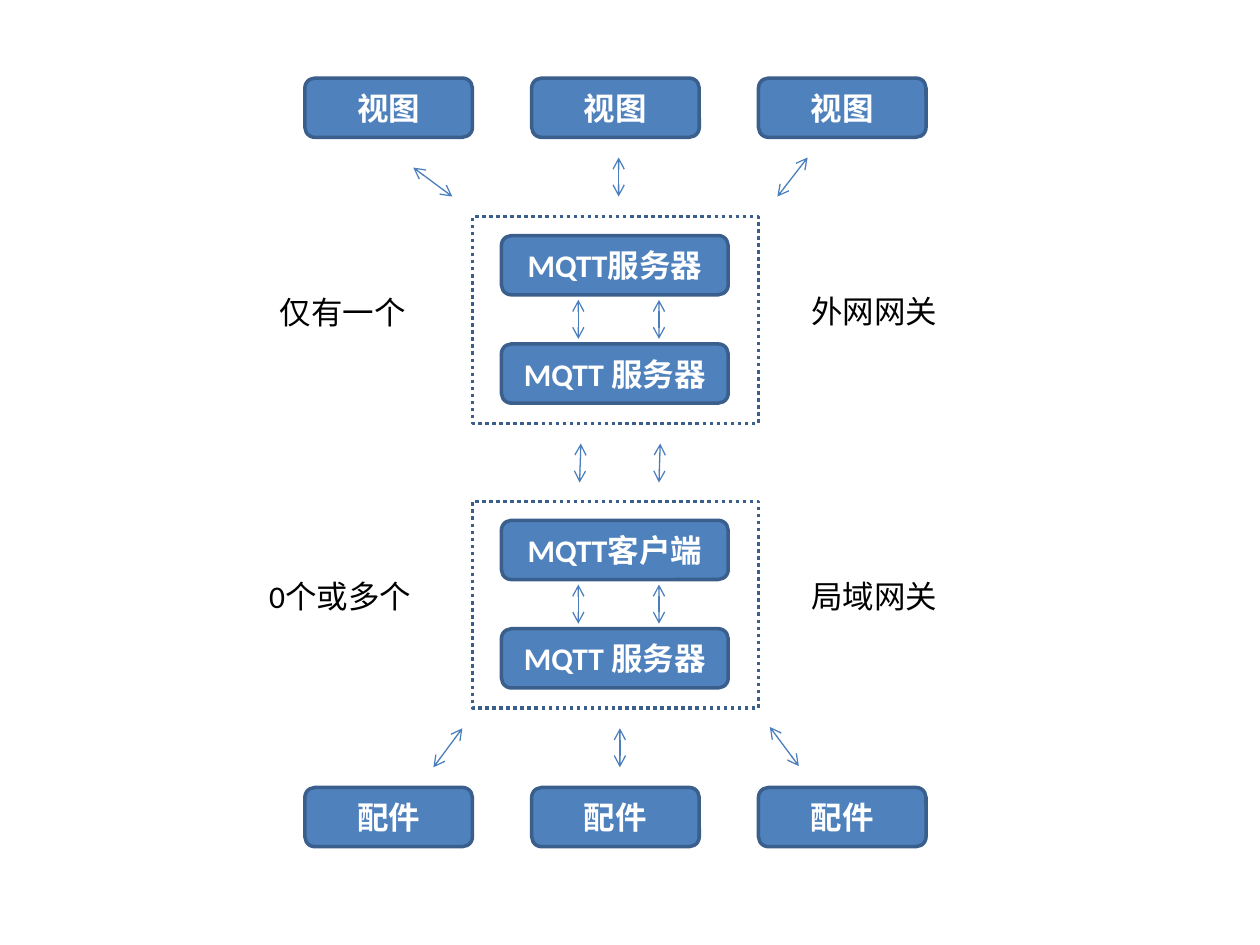
from dataclasses import dataclass

from lxml import etree
from pptx import Presentation
from pptx.dml.color import RGBColor
from pptx.enum import dml, shapes, text
from pptx.oxml import ns
from pptx.util import Inches, Pt


@dataclass(frozen=True)
class Theme:
    font: str = "Calibri"
    size: float = 18
    fill: str = "4F81BD"
    border: str = "3A5F8C"
    arrow: str = "4B7EBC"
    light: str = "FFFFFF"
    dark: str = "000000"
    border_width: float = 2
    arrow_width: float = 0.75


@dataclass(frozen=True)
class Box:
    x: float
    y: float
    w: float
    h: float
    label: str = ""


@dataclass(frozen=True)
class Arrow:
    x1: float
    y1: float
    x2: float
    y2: float


@dataclass(frozen=True)
class Gateway:
    y: float
    upper: str
    lower: str


THEME = Theme()
NODE_H = 0.47
COLUMNS = [2.42 + 1.8 * i for i in range(3)]
GATEWAYS = [
    Gateway(1.72, "MQTT服务器", "MQTT 服务器"),
    Gateway(3.98, "MQTT客户端", "MQTT 服务器"),
]
OUTER_ARROWS = [
    # Views to the external gateway
    Arrow(3.28, 1.33, 3.59, 1.56),
    Arrow(4.91, 1.25, 4.91, 1.56),
    Arrow(6.41, 1.25, 6.17, 1.56),
    # Between the gateways
    Arrow(4.61, 3.52, 4.6, 3.83),
    Arrow(5.24, 3.52, 5.23, 3.83),
    # Local gateway to the accessories
    Arrow(3.67, 5.78, 3.44, 6.09),
    Arrow(4.92, 5.78, 4.92, 6.09),
    Arrow(6.11, 5.77, 6.34, 6.08),
]
LABELS = [
    Box(2.11, 2.28, 1.22, 0.4, "仅有一个"),
    Box(6.33, 2.27, 1.22, 0.4, "外网网关"),
    Box(2.03, 4.53, 1.34, 0.4, "0个或多个"),
    Box(6.33, 4.53, 1.22, 0.4, "局域网关"),
]


def write(sp, label: str, color: str, bold: bool, anchor) -> None:
    tf = sp.text_frame
    for name, value in {"word_wrap": True, "vertical_anchor": anchor}.items():
        setattr(tf, name, value)
    p = tf.paragraphs[0]
    p.alignment = text.PP_ALIGN.CENTER
    r = p.add_run()
    r.text = label
    formats = {"name": THEME.font, "size": Pt(THEME.size), "bold": bold}
    for name, value in formats.items():
        setattr(r.font, name, value)
    r.font.color.rgb = RGBColor.from_string(color)


def outline(s, kind, box: Box):
    sp = s.shapes.add_shape(kind, *map(Inches, (box.x, box.y, box.w, box.h)))
    sp.shadow.inherit = False
    sp.line.color.rgb = RGBColor.from_string(THEME.border)
    sp.line.width = Pt(THEME.border_width)
    return sp


def draw_frame(s, box: Box) -> None:
    sp = outline(s, shapes.MSO_SHAPE.RECTANGLE, box)
    sp.fill.background()
    sp.line.dash_style = dml.MSO_LINE.ROUND_DOT


def draw_node(s, box: Box) -> None:
    sp = outline(s, shapes.MSO_SHAPE.ROUNDED_RECTANGLE, box)
    sp.fill.solid()
    sp.fill.fore_color.rgb = RGBColor.from_string(THEME.fill)
    write(sp, box.label, THEME.light, True, text.MSO_ANCHOR.MIDDLE)


def draw_arrow(s, arrow: Arrow) -> None:
    ends = map(Inches, (arrow.x1, arrow.y1, arrow.x2, arrow.y2))
    cxn = s.shapes.add_connector(shapes.MSO_CONNECTOR.STRAIGHT, *ends)
    cxn.line.color.rgb = RGBColor.from_string(THEME.arrow)
    cxn.line.width = Pt(THEME.arrow_width)
    ln = cxn.line._get_or_add_ln()
    for tag in ("a:headEnd", "a:tailEnd"):
        etree.SubElement(ln, ns.qn(tag), type="arrow")
    etree.SubElement(cxn._element.spPr, ns.qn("a:effectLst"))


def draw_label(s, box: Box) -> None:
    sp = s.shapes.add_textbox(*map(Inches, (box.x, box.y, box.w, box.h)))
    write(sp, box.label, THEME.dark, False, text.MSO_ANCHOR.TOP)


def draw_gateway(s, gateway: Gateway) -> None:
    y = gateway.y
    draw_frame(s, Box(3.75, y, 2.27, 1.64))
    draw_node(s, Box(3.98, y + 0.15, 1.8, NODE_H, gateway.upper))
    draw_node(s, Box(3.98, y + 1.01, 1.8, NODE_H, gateway.lower))
    for x in (4.59, 5.23):
        draw_arrow(s, Arrow(x, y + 0.66, x, y + 0.97))


def main() -> None:
    prs = Presentation()
    prs.slide_width, prs.slide_height = Inches(10), Inches(7.5)
    s = prs.slides.add_slide(prs.slide_layouts[6])

    # Gateways with their MQTT nodes
    for gateway in GATEWAYS:
        draw_gateway(s, gateway)

    # Rows of views and accessories
    for y, label in ((0.62, "视图"), (6.25, "配件")):
        for x in COLUMNS:
            draw_node(s, Box(x, y, 1.33, NODE_H, label))

    # Links between the layers
    for arrow in OUTER_ARROWS:
        draw_arrow(s, arrow)

    # Side labels
    for label in LABELS:
        draw_label(s, label)

    prs.save("out.pptx")


if __name__ == "__main__":
    main()
